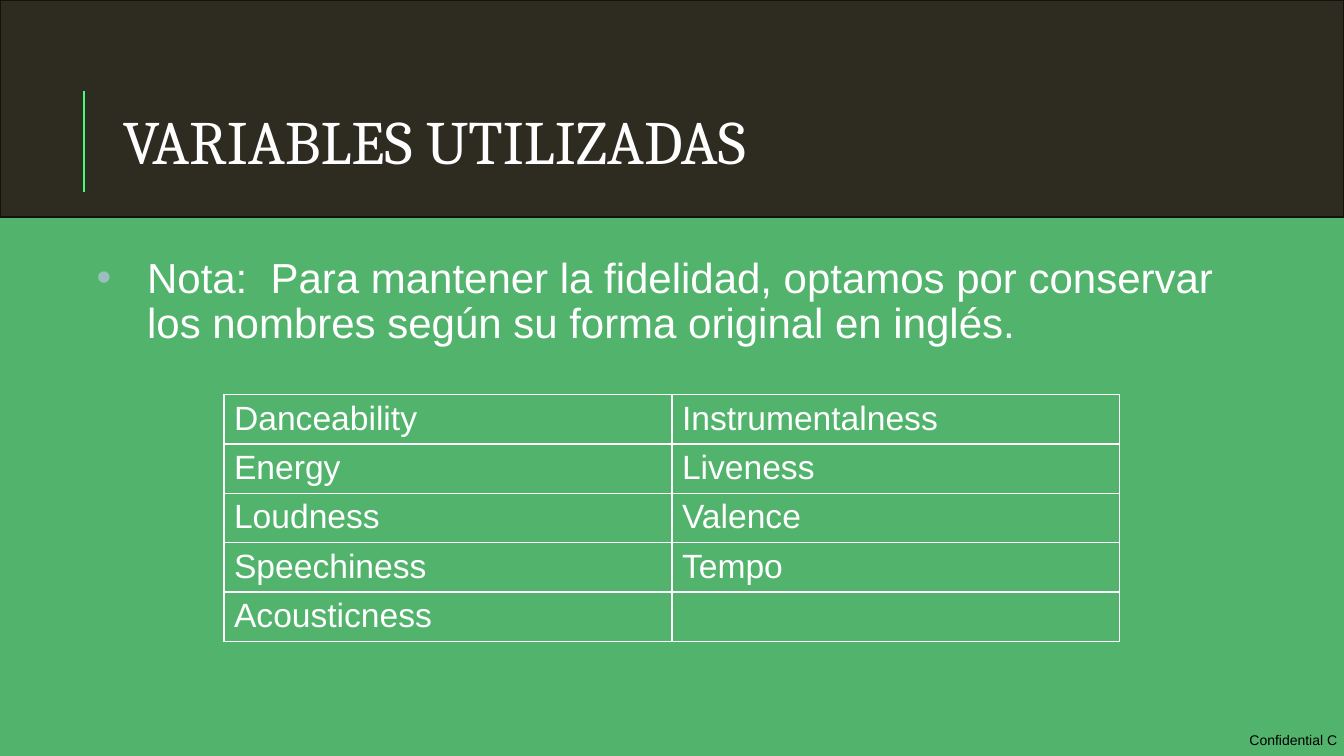
from pptx import Presentation
from pptx.dml.color import RGBColor as RGB
from pptx.enum.shapes import MSO_CONNECTOR as CONN, MSO_SHAPE as SHAPE
from pptx.enum.text import MSO_ANCHOR as ANCHOR, MSO_AUTO_SIZE as FIT, PP_ALIGN as ALIGN
from pptx.oxml import parse_xml
from pptx.oxml.ns import nsdecls
from pptx.util import Pt

HUES = {
    "green": "52B46C", "dark": "2E2B21", "edge": "13120D", "lime": "42FF74",
    "title": "FEFEFE", "white": "FFFFFF", "black": "000000", "dot": "9CBEBD",
}


def hue(name):
    return RGB.from_string(HUES[name])


def style(para, size, color, face="Arial"):
    for run in para.runs:
        run.font.size = Pt(size)
        run.font.name = face
        run.font.color.rgb = hue(color)


# Slide and background
deck = Presentation()
deck.slide_width, deck.slide_height = Pt(960), Pt(540)
slide = deck.slides.add_slide(deck.slide_layouts[5])
slide.background.fill.solid()
slide.background.fill.fore_color.rgb = hue("green")
shapes = slide.shapes

# Dark band, placed behind the title
band = shapes.add_shape(SHAPE.RECTANGLE, 0, 0, Pt(960), Pt(155))
band.shadow.inherit = False
band.fill.solid()
band.fill.fore_color.rgb = hue("dark")
band.line.color.rgb = hue("edge")
band.line.width = Pt(1.25)
title = shapes.title
title._element.addprevious(band._element)

# Title
title.left, title.top, title.width, title.height = Pt(80.5), Pt(36), Pt(739.5), Pt(137.5)
frame = title.text_frame
frame.text = "VARIABLES UTILIZADAS"
frame.auto_size = FIT.NONE
frame.vertical_anchor = ANCHOR.MIDDLE
head = frame.paragraphs[0]
head.alignment = ALIGN.LEFT
head.line_spacing = 0.8
style(head, 44, "title", "Cambria")

# Accent line
bar = shapes.add_connector(CONN.STRAIGHT, Pt(60), Pt(137), Pt(60), Pt(65))
bar.line.color.rgb = hue("lime")
bar.line.width = Pt(1.5)
bar._element.spPr.append(parse_xml(f'<a:effectLst {nsdecls("a")}/>'))

# Note and footer: place, margin, wrap, text, size, color
texts = [
    ((49.5, 180, 860.5, 310), 3.6, True,
     "Nota:  Para mantener la fidelidad, optamos por conservar los nombres "
     "según su forma original en inglés.", 30, "white"),
    ((892.5, 522.5, 65.5, 12), 0, False, "Confidential C", 10, "black"),
]
for place, edge, wrap, words, size, color in texts:
    box = shapes.add_textbox(*[Pt(n) for n in place])
    frame = box.text_frame
    frame.margin_left = frame.margin_right = Pt(edge)
    frame.margin_top = frame.margin_bottom = Pt(edge)
    frame.word_wrap = wrap
    frame.text = words
    para = frame.paragraphs[0]
    style(para, size, color)
    if wrap:
        # Bullet with a hanging indent
        para.line_spacing = 0.9
        props = para._p.get_or_add_pPr()
        props.set("marL", str(Pt(52)))
        props.set("indent", str(Pt(-36)))
        for tag in (f'buClr {nsdecls("a")}><a:srgbClr val="{HUES["dot"]}"/></a:buClr',
                    f'buFont {nsdecls("a")} typeface="Arial"/',
                    f'buChar {nsdecls("a")} char="•"/'):
            props.append(parse_xml(f"<a:{tag}>"))

# Table of variables
rows = [
    ("Danceability", "Instrumentalness"),
    ("Energy", "Liveness"),
    ("Loudness", "Valence"),
    ("Speechiness", "Tempo"),
    ("Acousticness", ""),
]
grid = shapes.add_table(len(rows), 2, Pt(160), Pt(282), Pt(640), Pt(170)).table
grid.first_row = grid.horz_banding = False
for r, row in enumerate(rows):
    for c, word in enumerate(row):
        cell = grid.cell(r, c)
        cell.text = word
        cell.margin_top, cell.margin_bottom = Pt(3.6), Pt(2.8)
        style(cell.text_frame.paragraphs[0], 24, "white")
        cell.fill.background()
        for i, side in enumerate("LRTB"):
            cell._tc.get_or_add_tcPr().insert(i, parse_xml(
                f'<a:ln{side} {nsdecls("a")} w="{Pt(1)}"><a:solidFill>'
                f'<a:srgbClr val="{HUES["white"]}"/></a:solidFill></a:ln{side}>'))

deck.save("out.pptx")
